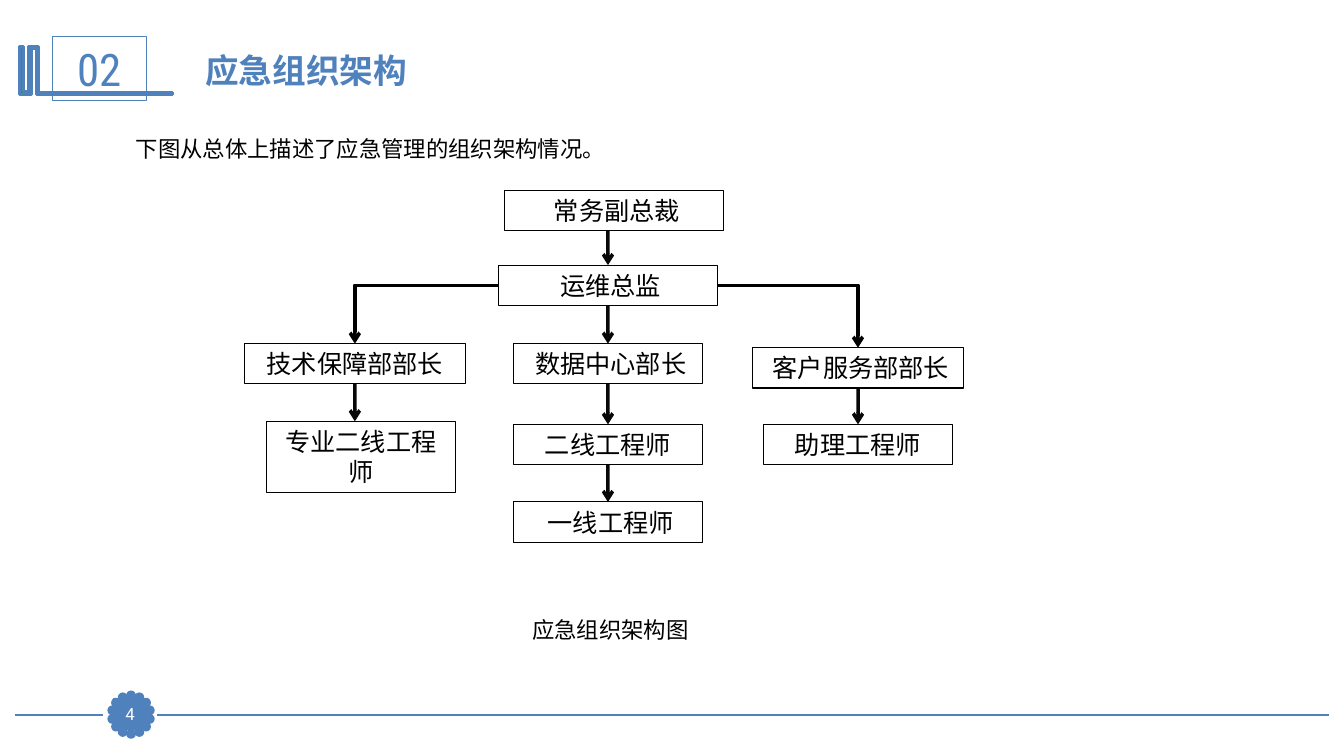
import math
from lxml import etree
from pptx import Presentation
from pptx import util as u
from pptx.dml import color
from pptx.enum import shapes, text
from pptx.oxml import ns

Inches = u.Inches
hex_color = color.RGBColor.from_string
BLUE, BLACK, WHITE = "4F81BD", "000000", "FFFFFF"
CENTER, LEFT = text.PP_ALIGN.CENTER, text.PP_ALIGN.LEFT
TOP, MIDDLE = text.MSO_ANCHOR.TOP, text.MSO_ANCHOR.MIDDLE


def outline(shape, line, width, fill=None):
    shape.shadow.inherit = False
    if fill:
        shape.fill.solid()
        shape.fill.fore_color.rgb = hex_color(fill)
    else:
        shape.fill.background()
    shape.line.color.rgb = hex_color(line)
    shape.line.width = u.Pt(width)


def write(shape, words, size, font, ink, align=LEFT, anchor=TOP, wrap=True):
    frame = shape.text_frame
    frame.word_wrap = wrap
    frame.auto_size = text.MSO_AUTO_SIZE.NONE
    frame.vertical_anchor = anchor
    paragraph = frame.paragraphs[0]
    paragraph.alignment = align
    run = paragraph.add_run()
    run.text = words
    run.font.size = u.Pt(size)
    run.font.name = font
    run.font.color.rgb = hex_color(ink)
    east_asian = etree.SubElement(run.font._element, ns.qn("a:ea"))
    east_asian.set("typeface", "Noto Sans CJK SC")
    return paragraph


deck = Presentation()
deck.slide_width, deck.slide_height = Inches(13.33), Inches(7.5)
slide = deck.slides.add_slide(deck.slide_layouts[5])
canvas = slide.shapes

for start, end in [(13.18, 1.56), (1.02, 0.15)]:
    footer_rule = canvas.add_connector(
        shapes.MSO_CONNECTOR.STRAIGHT, Inches(start), Inches(7.09), Inches(end), Inches(7.09))
    footer_rule.line.color.rgb = hex_color(BLUE)
    footer_rule.line.width = u.Pt(1.25)
    etree.SubElement(footer_rule._element.spPr, ns.qn("a:effectLst"))

PETALS, PETAL_SIZE, RING = 14, 0.07, 0.19
for step in range(PETALS):
    angle = 2 * math.pi * step / PETALS
    petal = canvas.add_shape(
        shapes.MSO_SHAPE.OVAL,
        Inches(1.3 + RING * math.sin(angle) - PETAL_SIZE / 2),
        Inches(7.09 - RING * math.cos(angle) - PETAL_SIZE / 2),
        Inches(PETAL_SIZE), Inches(PETAL_SIZE))
    outline(petal, BLUE, 2, BLUE)

bracket_points = [
    (0.37, 0.46), (0.38, 0.46), (0.38, 0.92), (1.71, 0.92), (1.71, 0.94), (0.36, 0.94),
    (0.36, 0.48), (0.31, 0.48), (0.31, 0.94), (0.19, 0.94), (0.19, 0.46), (0.23, 0.46),
    (0.23, 0.91), (0.28, 0.91), (0.28, 0.46)]
corners = [(Inches(x), Inches(y)) for x, y in bracket_points]
bracket_builder = canvas.build_freeform(*corners[0])
bracket_builder.add_line_segments(corners[1:], close=True)
outline(bracket_builder.convert_to_shape(), BLUE, 2, "339933")

section = canvas.add_shape(
    shapes.MSO_SHAPE.RECTANGLE, Inches(0.52), Inches(0.36), Inches(0.93), Inches(0.64))
outline(section, BLUE, 0.75)
write(section, "02", 32, "Roboto Condensed", BLUE, CENTER, MIDDLE)

page = canvas.add_shape(
    shapes.MSO_SHAPE.RECTANGLE, Inches(1.13), Inches(6.93), Inches(0.32), Inches(0.31))
outline(page, BLUE, 0.75, BLUE)
write(page, "4", 12, "Roboto", WHITE, CENTER, MIDDLE)
page.text_frame.margin_left = page.text_frame.margin_right = 0
page.text_frame.margin_top = page.text_frame.margin_bottom = 0

heading = canvas.title
heading.left, heading.top = Inches(1.86), Inches(0.44)
heading.width, heading.height = Inches(9.69), Inches(0.51)
write(heading, " 应急组织架构", 24, "Noto Sans CJK SC", BLUE).font.bold = True

intro = canvas.add_textbox(Inches(1.25), Inches(1.29), Inches(4.91), Inches(0.37))
write(intro, "下图从总体上描述了应急管理的组织架构情况。", 16, "Calibri", BLACK, wrap=False)

caption = canvas.add_textbox(Inches(5.18), Inches(5.93), Inches(1.81), Inches(0.51))
write(caption, "应急组织架构图", 16, "Roboto", BLACK).line_spacing = 1.5

TECH, DATA, SERVICE = 3.52, 6.03, 8.51
roles = [
    ("president", " 常务副总裁", 6.09, 1.89, 2.17, 0.4),
    ("director", " 运维总监", DATA, 2.63, 2.17, 0.4),
    ("data_head", " 数据中心部长", DATA, 3.41, 1.87, 0.4),
    ("second_line", "二线工程师", DATA, 4.21, 1.87, 0.4),
    ("first_line", " 一线工程师", DATA, 4.98, 1.87, 0.4),
    ("service_head", " 客户服务部部长", SERVICE, 3.45, 2.1, 0.4),
    ("assistant", "助理工程师", SERVICE, 4.21, 1.87, 0.4),
    ("tech_head", "技术保障部部长", TECH, 3.41, 2.19, 0.4),
    ("specialist", "专业二线工程师", 3.58, 4.18, 1.87, 0.71),
]
role_boxes = {}
for role, label, center, top, width, height in roles:
    box = canvas.add_shape(
        shapes.MSO_SHAPE.RECTANGLE,
        Inches(center - width / 2), Inches(top), Inches(width), Inches(height))
    outline(box, BLACK, 0.75)
    write(box, label, 18, "Roboto", BLACK, CENTER)
    role_boxes[role] = box

STRAIGHT, ELBOW = shapes.MSO_CONNECTOR.STRAIGHT, shapes.MSO_CONNECTOR.ELBOW
reports = [
    (STRAIGHT, DATA, 2.29, DATA, 2.63, None, "director"),
    (STRAIGHT, DATA, 3.03, DATA, 3.41, "director", "data_head"),
    (STRAIGHT, DATA, 3.81, DATA, 4.21, "data_head", "second_line"),
    (STRAIGHT, DATA, 4.61, DATA, 4.98, "second_line", "first_line"),
    (STRAIGHT, SERVICE, 3.85, SERVICE, 4.21, "service_head", "assistant"),
    (STRAIGHT, TECH, 3.81, TECH, 4.18, "tech_head", None),
    (ELBOW, 4.94, 2.83, TECH, 3.41, None, None),
    (ELBOW, 7.11, 2.83, SERVICE, 3.45, None, None),
]
for kind, x1, y1, x2, y2, upper, lower in reports:
    arrow = canvas.add_connector(kind, Inches(x1), Inches(y1), Inches(x2), Inches(y2))
    if upper:
        arrow.begin_connect(role_boxes[upper], 2)
    if lower:
        arrow.end_connect(role_boxes[lower], 0)
    arrow.line.color.rgb = hex_color(BLACK)
    arrow.line.width = u.Pt(2.5)
    arrow_properties = arrow._element.spPr
    if kind == ELBOW:
        arrow_properties.find(ns.qn("a:prstGeom")).set("prst", "bentConnector2")
    else:
        ink = arrow_properties.find(".//" + ns.qn("a:srgbClr"))
        etree.SubElement(ink, ns.qn("a:alpha")).set("val", "97000")
    stroke = arrow_properties.find(ns.qn("a:ln"))
    etree.SubElement(stroke, ns.qn("a:tailEnd")).set("type", "arrow")
    etree.SubElement(arrow_properties, ns.qn("a:effectLst"))

deck.save("out.pptx")
